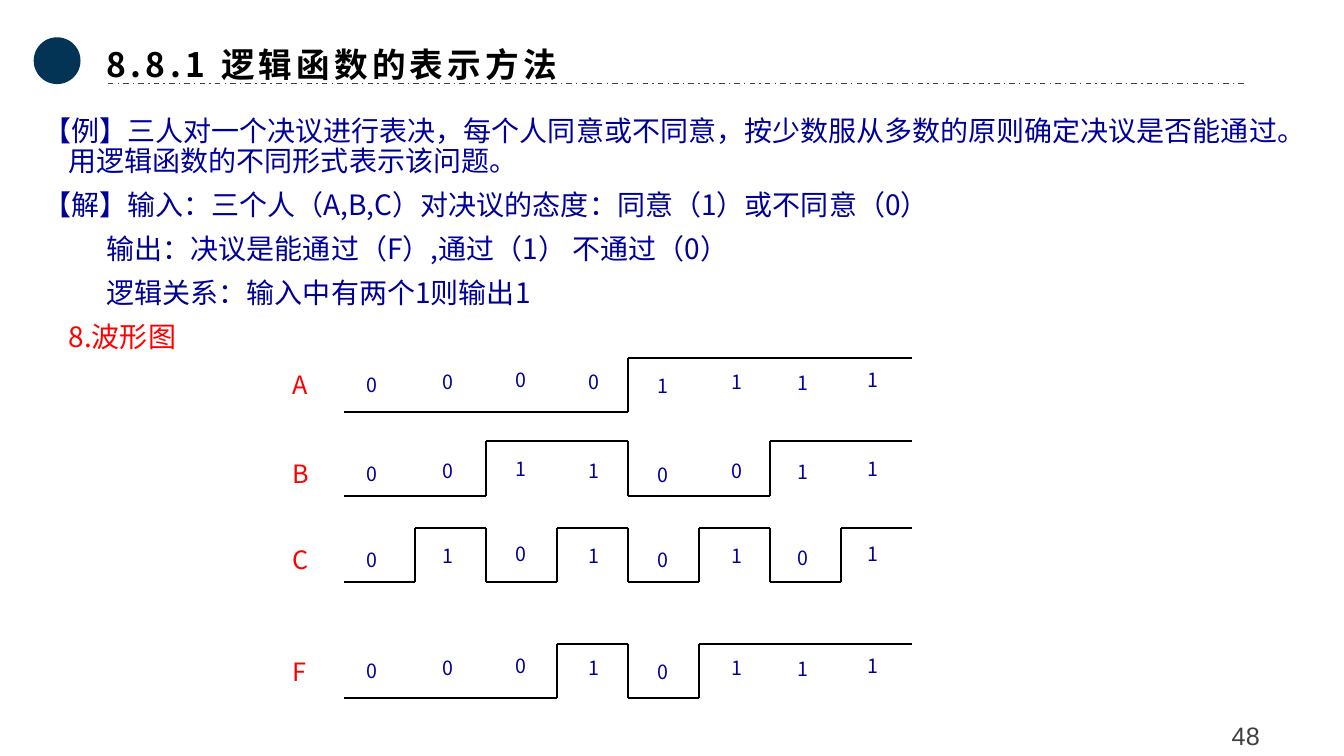
from dataclasses import dataclass
from itertools import pairwise
from typing import Optional

from lxml import etree
from pptx import Presentation
from pptx import util as u
from pptx.dml.color import RGBColor
from pptx.enum import dml, shapes, text
from pptx.oxml.ns import qn


@dataclass(frozen=True)
class Theme:
    body_font: str = "Noto Sans CJK SC"
    number_font: str = "Arial"
    title_size: float = 24
    body_size: float = 20
    label_size: float = 18
    bit_size: float = 14
    black: str = "000000"
    grey: str = "404040"
    blue: str = "000099"
    red: str = "FF0000"
    navy: str = "033455"


@dataclass(frozen=True)
class Box:
    left: float
    top: float
    width: float
    height: float

    def lengths(self) -> tuple:
        return tuple(u.Cm(v) for v in (self.left, self.top, self.width, self.height))


@dataclass(frozen=True)
class BodyLine:
    wording: str
    color: str
    margin: float
    indent: float = 0


@dataclass(frozen=True)
class Wave:
    name: str
    bits: str
    high: float
    label_top: float


@dataclass(frozen=True)
class BitColumn:
    left: float
    shift: float


THEME = Theme()
HANGING = 0.64
WAVE_LEFT = 8.67
BIT_WIDTH = 1.79
AMPLITUDE = 1.37

BODY = [
    BodyLine("【例】三人对一个决议进行表决，每个人同意或不同意，按少数服从多数的原则确定决议是否能通过。"
             "用逻辑函数的不同形式表示该问题。", THEME.blue, HANGING, -HANGING),
    BodyLine("【解】输入：三个人（A,B,C）对决议的态度：同意（1）或不同意（0）",
             THEME.blue, HANGING, -HANGING),
    BodyLine("输出：决议是能通过（F）,通过（1） 不通过（0）", THEME.blue, 1.6),
    BodyLine("逻辑关系：输入中有两个1则输出1", THEME.blue, 1.6),
    BodyLine("8.波形图", THEME.red, HANGING),
]

WAVES = [
    Wave("A", "00001111", 9.01, 9.19),
    Wave("B", "00110011", 11.12, 11.43),
    Wave("C", "01010101", 13.3, 13.59),
    Wave("F", "00010111", 16.22, 16.41),
]

COLUMNS = [
    BitColumn(8.99, 0.08),
    BitColumn(10.9, 0),
    BitColumn(12.75, -0.05),
    BitColumn(14.58, 0),
    BitColumn(16.31, 0.1),
    BitColumn(18.19, 0),
    BitColumn(19.86, 0.03),
    BitColumn(21.62, -0.05),
]


def style(paragraph, size: float, color: str, name: str = THEME.body_font,
          bold: bool = False, spacing: Optional[int] = None) -> None:
    font = paragraph.font
    font.size = u.Pt(size)
    font.bold = bold
    font.color.rgb = RGBColor.from_string(color)
    font.name = name
    properties = paragraph._p.pPr.find(qn("a:defRPr"))
    etree.SubElement(properties, qn("a:ea")).set("typeface", name)
    if spacing is not None:
        properties.set("spc", str(spacing))


def add_line(slide, start: tuple, end: tuple, color: str, width: float):
    points = [u.Cm(v) for v in (*start, *end)]
    connector = slide.shapes.add_connector(shapes.MSO_CONNECTOR.STRAIGHT, *points)
    connector.line.color.rgb = RGBColor.from_string(color)
    connector.line.width = u.Pt(width)
    etree.SubElement(connector._element.spPr, qn("a:effectLst"))
    return connector


def add_label(slide, wording: str, box: Box, size: float, color: str) -> None:
    frame = slide.shapes.add_textbox(*box.lengths()).text_frame
    frame.word_wrap = False
    frame.auto_size = text.MSO_AUTO_SIZE.SHAPE_TO_FIT_TEXT
    frame.text = wording
    style(frame.paragraphs[0], size, color)


def add_heading(slide) -> None:
    dot = slide.shapes.add_shape(shapes.MSO_SHAPE.OVAL, *Box(0.85, 0.94, 1.18, 1.18).lengths())
    dot.shadow.inherit = False
    dot.fill.solid()
    dot.fill.fore_color.rgb = RGBColor.from_string(THEME.navy)
    dot.line.fill.background()

    title = slide.shapes.title
    title.left, title.top, title.width, title.height = Box(2.44, 0.76, 28.96, 1.5).lengths()
    frame = title.text_frame
    frame.text = "8.8.1 逻辑函数的表示方法"
    frame.word_wrap = True
    frame.auto_size = text.MSO_AUTO_SIZE.SHAPE_TO_FIT_TEXT
    frame.vertical_anchor = text.MSO_ANCHOR.MIDDLE
    paragraph = frame.paragraphs[0]
    paragraph.alignment = text.PP_ALIGN.LEFT
    paragraph.line_spacing = 1.2
    style(paragraph, THEME.title_size, THEME.black, bold=True, spacing=300)

    rule = add_line(slide, (2.72, 2.11), (31.39, 2.11), THEME.grey, 1)
    rule.line.dash_style = dml.MSO_LINE.DASH_DOT


def add_body(slide) -> None:
    frame = slide.shapes.add_textbox(*Box(0.84, 2.82, 31.83, 6.1).lengths()).text_frame
    frame.word_wrap = True
    for index, line in enumerate(BODY):
        paragraph = frame.add_paragraph() if index else frame.paragraphs[0]
        paragraph.text = line.wording
        paragraph.line_spacing = u.Pt(21.4)
        paragraph.space_before = u.Pt(10 if index else 0)
        properties = paragraph._p.get_or_add_pPr()
        properties.set("marL", str(u.Cm(line.margin)))
        properties.set("indent", str(u.Cm(line.indent)))
        style(paragraph, THEME.body_size, line.color)


def add_wave(slide, wave: Wave) -> None:
    low = wave.high + AMPLITUDE
    levels = [wave.high if bit == "1" else low for bit in wave.bits]
    for index, level in enumerate(levels):
        start = WAVE_LEFT + index * BIT_WIDTH
        add_line(slide, (start, level), (start + BIT_WIDTH, level), THEME.black, 1.5)
    for index, (before, after) in enumerate(pairwise(levels), start=1):
        if before != after:
            edge = WAVE_LEFT + index * BIT_WIDTH
            add_line(slide, (edge, wave.high), (edge, low), THEME.black, 1.5)

    add_label(slide, wave.name, Box(7.11, wave.label_top, 0.94, 1.02), THEME.label_size, THEME.red)
    for bit, column in zip(wave.bits, COLUMNS):
        box = Box(column.left, wave.label_top + column.shift, 0.81, 0.86)
        add_label(slide, bit, box, THEME.bit_size, THEME.blue)


def add_page_number(slide) -> None:
    frame = slide.shapes.add_textbox(*Box(29.16, 17.91, 4.47, 1.09).lengths()).text_frame
    frame.word_wrap = True
    frame.vertical_anchor = text.MSO_ANCHOR.MIDDLE
    frame.text = "48"
    paragraph = frame.paragraphs[0]
    paragraph.alignment = text.PP_ALIGN.CENTER
    paragraph.line_spacing = 1.2
    style(paragraph, THEME.label_size, THEME.grey, THEME.number_font)


def main() -> None:
    presentation = Presentation()
    presentation.slide_width = u.Cm(33.87)
    presentation.slide_height = u.Cm(19.05)
    slide = presentation.slides.add_slide(presentation.slide_layouts[5])
    add_heading(slide)
    add_body(slide)
    for wave in WAVES:
        add_wave(slide, wave)
    add_page_number(slide)
    presentation.save("out.pptx")


if __name__ == "__main__":
    main()
